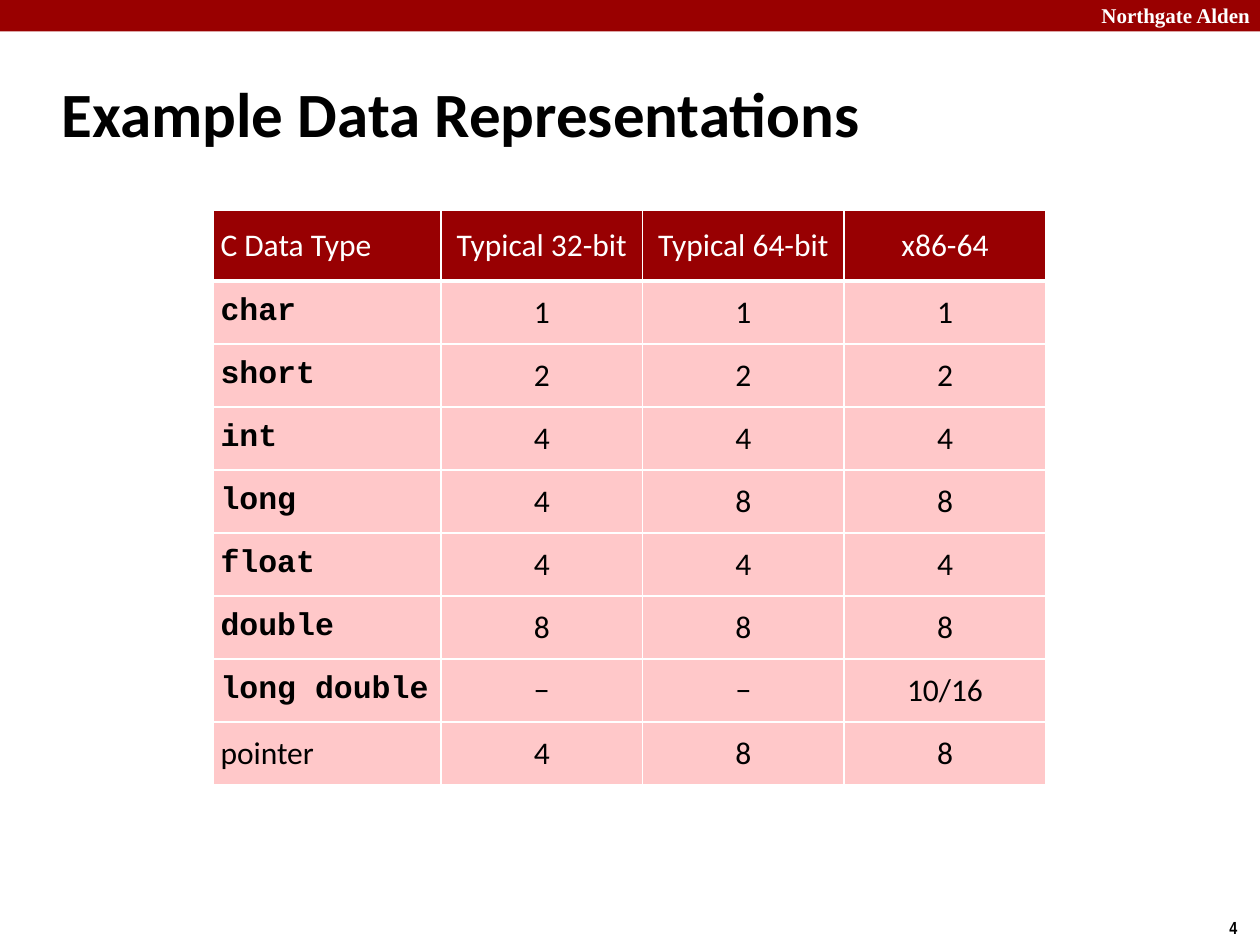
from dataclasses import dataclass

from lxml import etree
from pptx import Presentation
from pptx.dml.color import RGBColor
from pptx.enum import shapes, text
from pptx.oxml.ns import qn
from pptx.util import Inches, Pt

HEADER_RED, ROW_PINK, BAR_RED = "980002", "FFC8C9", "990000"
WHITE, BLACK = "FFFFFF", "000000"
LEFT, CENTER, RIGHT = text.PP_ALIGN.LEFT, text.PP_ALIGN.CENTER, text.PP_ALIGN.RIGHT
MIDDLE = text.MSO_ANCHOR.MIDDLE


@dataclass
class TypeRow:
    name: str
    sizes: tuple[str, str, str]
    is_code: bool = True


HEADER = TypeRow("C Data Type", ("Typical 32-bit", "Typical 64-bit", "x86-64"), False)
TYPE_ROWS = [
    TypeRow("char", ("1", "1", "1")),
    TypeRow("short", ("2", "2", "2")),
    TypeRow("int", ("4", "4", "4")),
    TypeRow("long", ("4", "8", "8")),
    TypeRow("float", ("4", "4", "4")),
    TypeRow("double", ("8", "8", "8")),
    TypeRow("long double", ("−", "−", "10/16")),
    TypeRow("pointer", ("4", "8", "8"), False),
]


def rgb(value: str) -> RGBColor:
    return RGBColor.from_string(value)


def write(tf, content: str, *, size: float = 18, font: str = "Calibri",
          color: str = BLACK, bold: bool = False, align=LEFT):
    p = tf.paragraphs[0]
    p.alignment = align
    r = p.add_run()
    r.text = content
    r.font.size, r.font.name, r.font.bold = Pt(size), font, bold
    r.font.color.rgb = rgb(color)
    return p


def add_label(slide, box: tuple, content: str, **fmt) -> None:
    tf = slide.shapes.add_textbox(*map(Inches, box)).text_frame
    tf.word_wrap = False
    write(tf, content, **fmt)


def set_borders(cell, **widths: float) -> None:
    """Draw white borders; keys are L, R, T and B, values are points."""
    tc_pr = cell._tc.get_or_add_tcPr()
    for i, (side, width) in enumerate(widths.items()):
        ln = etree.Element(qn(f"a:ln{side}"), w=str(Pt(width)))
        fill = etree.SubElement(ln, qn("a:solidFill"))
        etree.SubElement(fill, qn("a:srgbClr"), val=WHITE)
        tc_pr.insert(i, ln)


def fill_row(table, index: int, row: TypeRow) -> None:
    is_header = index == 0
    for col, content in enumerate((row.name, *row.sizes)):
        cell = table.cell(index, col)
        cell.fill.solid()
        cell.fill.fore_color.rgb = rgb(HEADER_RED if is_header else ROW_PINK)
        cell.vertical_anchor = MIDDLE
        cell.margin_left = cell.margin_right = Inches(0.06)
        cell.margin_top = cell.margin_bottom = Inches(0.06)
        set_borders(cell, L=1, R=1, T=3 if index == 1 else 1, B=3 if is_header else 1)
        code = row.is_code and col == 0
        write(cell.text_frame, content, font="Courier New" if code else "Calibri",
              bold=code, color=WHITE if is_header else BLACK,
              align=CENTER if col else LEFT)


def add_type_table(slide) -> None:
    rows = [HEADER, *TYPE_ROWS]
    table = slide.shapes.add_table(len(rows), 4, Inches(1.69), Inches(1.67),
                                   Inches(6.6), Inches(4.56)).table
    for col, width in zip(table.columns, (1.81, 1.6, 1.6, 1.6)):
        col.width = Inches(width)
    for i, row in enumerate(rows):
        table.rows[i].height = Inches(0.5 if i else 0.56)
        fill_row(table, i, row)


def add_title(slide, content: str) -> None:
    title = slide.shapes.title
    title.left, title.top, title.width, title.height = map(Inches, (0.39, 0.48, 8.3, 0.83))
    tf = title.text_frame
    tf.auto_size = text.MSO_AUTO_SIZE.NONE
    tf.vertical_anchor = MIDDLE
    p_pr = write(tf, content, size=36, bold=True)._p.get_or_add_pPr()
    p_pr.set("marL", str(Inches(0.13)))
    p_pr.set("indent", str(Inches(-0.13)))


def main() -> None:
    prs = Presentation()
    prs.slide_width, prs.slide_height = Inches(10), Inches(7.5)
    slide = prs.slides.add_slide(prs.slide_layouts[5])

    bar = slide.shapes.add_shape(shapes.MSO_SHAPE.RECTANGLE, 0, 0, prs.slide_width, Inches(0.25))
    bar.shadow.inherit = False
    bar.fill.solid()
    bar.fill.fore_color.rgb = rgb(BAR_RED)
    bar.line.fill.background()

    add_label(slide, (8.64, -0.03, 1.38, 0.3), "Northgate Alden", size=12,
              font="Times New Roman", color=WHITE, bold=True, align=RIGHT)
    add_label(slide, (9.66, 7.23, 0.34, 0.27), "4", size=10, font="Arial Narrow", bold=True)
    add_title(slide, "Example Data Representations")
    add_type_table(slide)
    prs.save("out.pptx")


if __name__ == "__main__":
    main()
